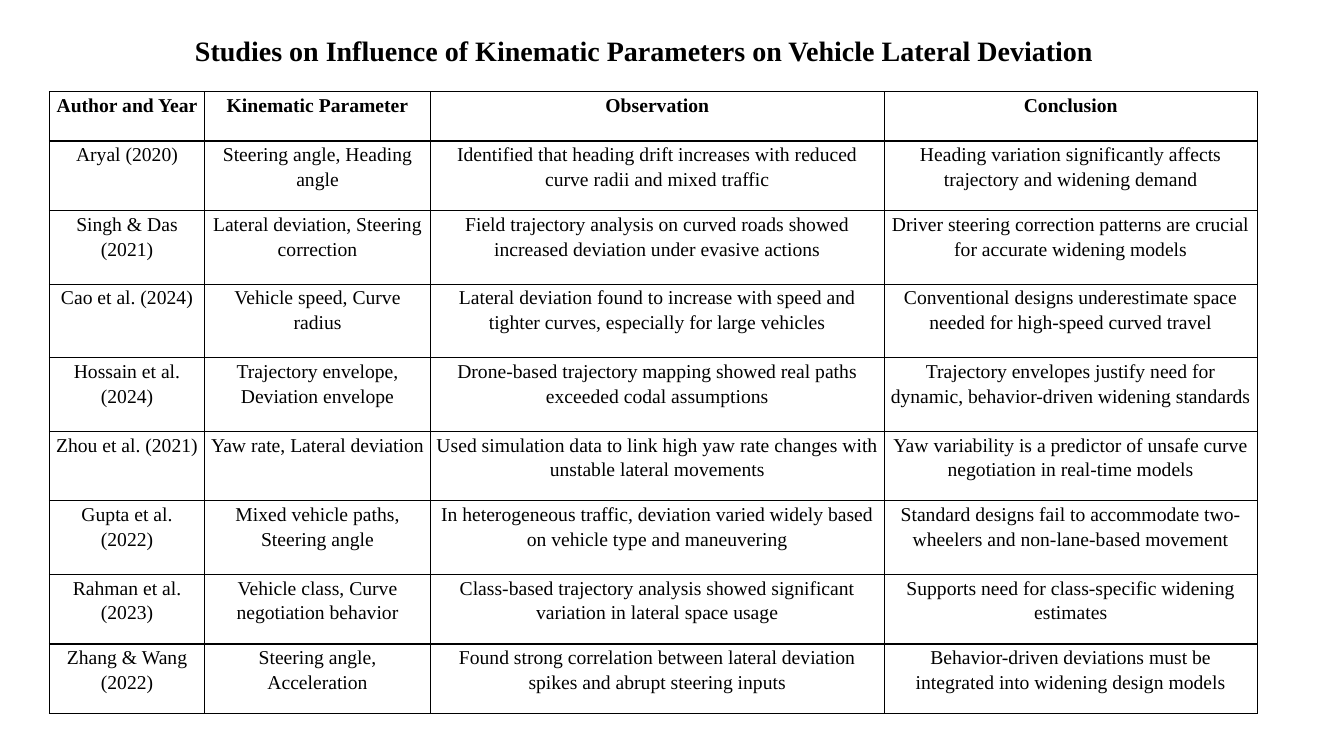
from lxml.etree import SubElement
from pptx import Presentation
from pptx.dml.color import RGBColor
from pptx.enum.text import MSO_AUTO_SIZE, PP_ALIGN
from pptx.oxml.ns import qn
from pptx.util import Inches, Pt


def style_paragraph(p, size, bold, spacing, color="000000"):
    p.alignment = PP_ALIGN.CENTER
    p.line_spacing = spacing
    p.font.name = "Times New Roman"
    p.font.size = Pt(size)
    p.font.bold = bold
    p.font.color.rgb = RGBColor.from_string(color)


def add_borders(cell, color="000000", width=1):
    tcPr = cell._tc.get_or_add_tcPr()
    for side in ("a:lnL", "a:lnR", "a:lnT", "a:lnB"):
        ln = SubElement(tcPr, qn(side), w=str(Pt(width)))
        fill = SubElement(ln, qn("a:solidFill"))
        SubElement(fill, qn("a:srgbClr"), val=color)


prs = Presentation()
prs.slide_width, prs.slide_height = Inches(13.33), Inches(7.5)
s = prs.slides.add_slide(prs.slide_layouts[6])

# Studies table
studies = [
    ("Author and Year", "Kinematic Parameter", "Observation", "Conclusion"),
    ("Aryal (2020)", "Steering angle, Heading angle",
     "Identified that heading drift increases with reduced curve radii and mixed traffic",
     "Heading variation significantly affects trajectory and widening demand"),
    ("Singh & Das (2021)", "Lateral deviation, Steering correction",
     "Field trajectory analysis on curved roads showed increased deviation under evasive actions",
     "Driver steering correction patterns are crucial for accurate widening models"),
    ("Cao et al. (2024)", "Vehicle speed, Curve radius",
     "Lateral deviation found to increase with speed and tighter curves, especially for large vehicles",
     "Conventional designs underestimate space needed for high-speed curved travel"),
    ("Hossain et al. (2024)", "Trajectory envelope, Deviation envelope",
     "Drone-based trajectory mapping showed real paths exceeded codal assumptions",
     "Trajectory envelopes justify need for dynamic, behavior-driven widening standards"),
    ("Zhou et al. (2021)", "Yaw rate, Lateral deviation",
     "Used simulation data to link high yaw rate changes with unstable lateral movements",
     "Yaw variability is a predictor of unsafe curve negotiation in real-time models"),
    ("Gupta et al. (2022)", "Mixed vehicle paths, Steering angle",
     "In heterogeneous traffic, deviation varied widely based on vehicle type and maneuvering",
     "Standard designs fail to accommodate two-wheelers and non-lane-based movement"),
    ("Rahman et al. (2023)", "Vehicle class, Curve negotiation behavior",
     "Class-based trajectory analysis showed significant variation in lateral space usage",
     "Supports need for class-specific widening estimates"),
    ("Zhang & Wang (2022)", "Steering angle, Acceleration",
     "Found strong correlation between lateral deviation spikes and abrupt steering inputs",
     "Behavior-driven deviations must be integrated into widening design models"),
]
col_widths = [1.54, 2.24, 4.5, 3.7]
row_heights = [0.49, 0.69, 0.73, 0.73, 0.73, 0.69, 0.73, 0.69, 0.69]

table = s.shapes.add_table(len(studies), len(col_widths), Inches(0.49), Inches(0.91),
                           Inches(sum(col_widths)), Inches(sum(row_heights))).table
table.horz_banding = False
table.first_row = False
for col, width in zip(table.columns, col_widths):
    col.width = Inches(width)
for i, (row, height, texts) in enumerate(zip(table.rows, row_heights, studies)):
    row.height = Inches(height)
    for cell, text in zip(row.cells, texts):
        cell.margin_left = cell.margin_right = Inches(0.05)
        cell.margin_top = cell.margin_bottom = 0
        add_borders(cell)
        cell.fill.background()
        cell.text = text
        style_paragraph(cell.text_frame.paragraphs[0], 14, i == 0, 1.15)

# Title
tf = s.shapes.add_textbox(Inches(1.3), Inches(0.12), Inches(10.18), Inches(0.55)).text_frame
tf.word_wrap = True
tf.auto_size = MSO_AUTO_SIZE.SHAPE_TO_FIT_TEXT
p = tf.paragraphs[0]
p.text = "Studies on Influence of Kinematic Parameters on Vehicle Lateral Deviation"
p.space_before = Pt(2)
style_paragraph(p, 20, True, 1.5)

prs.save("out.pptx")
